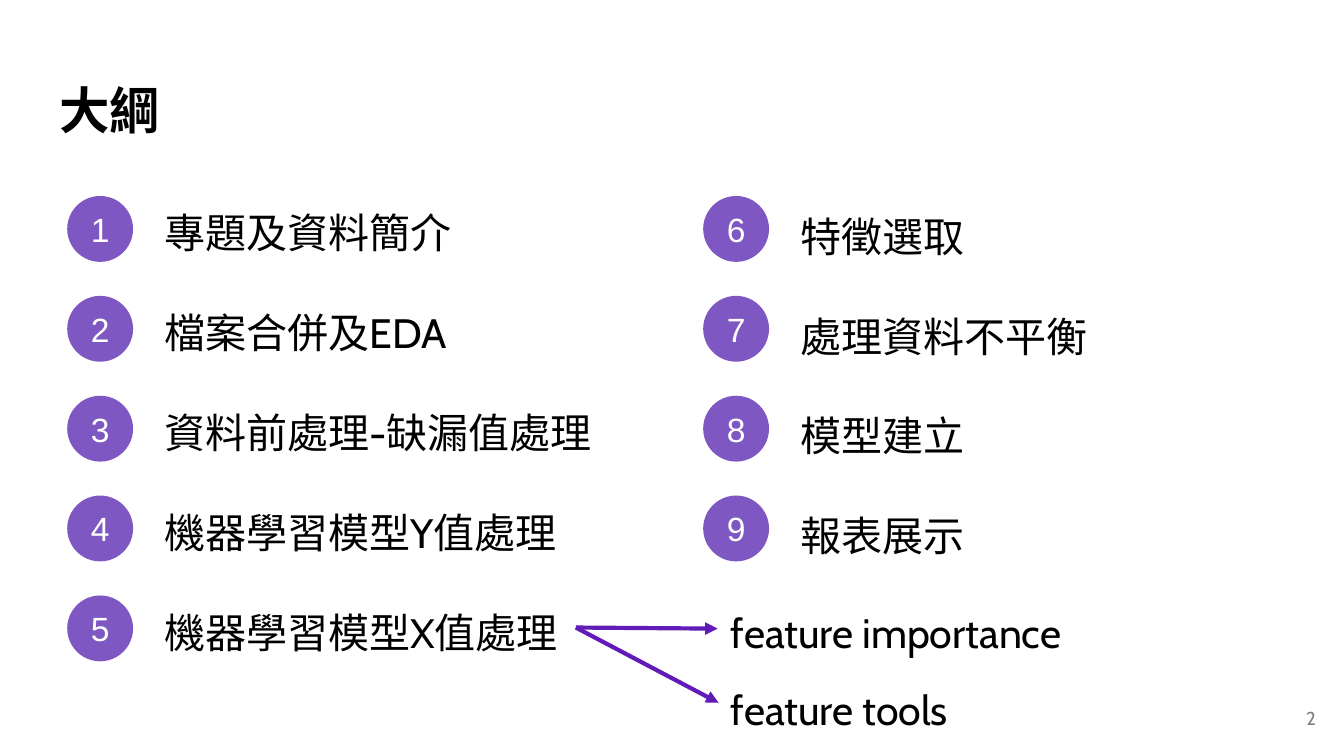
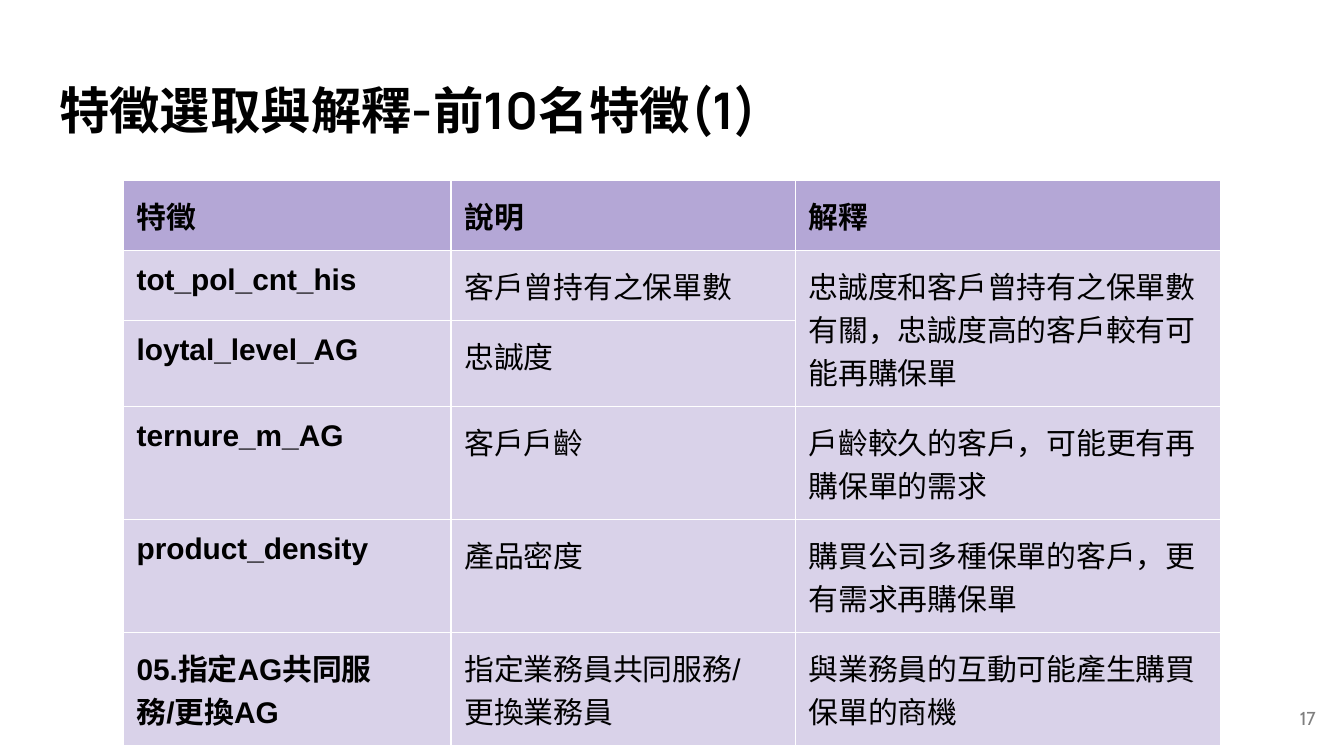
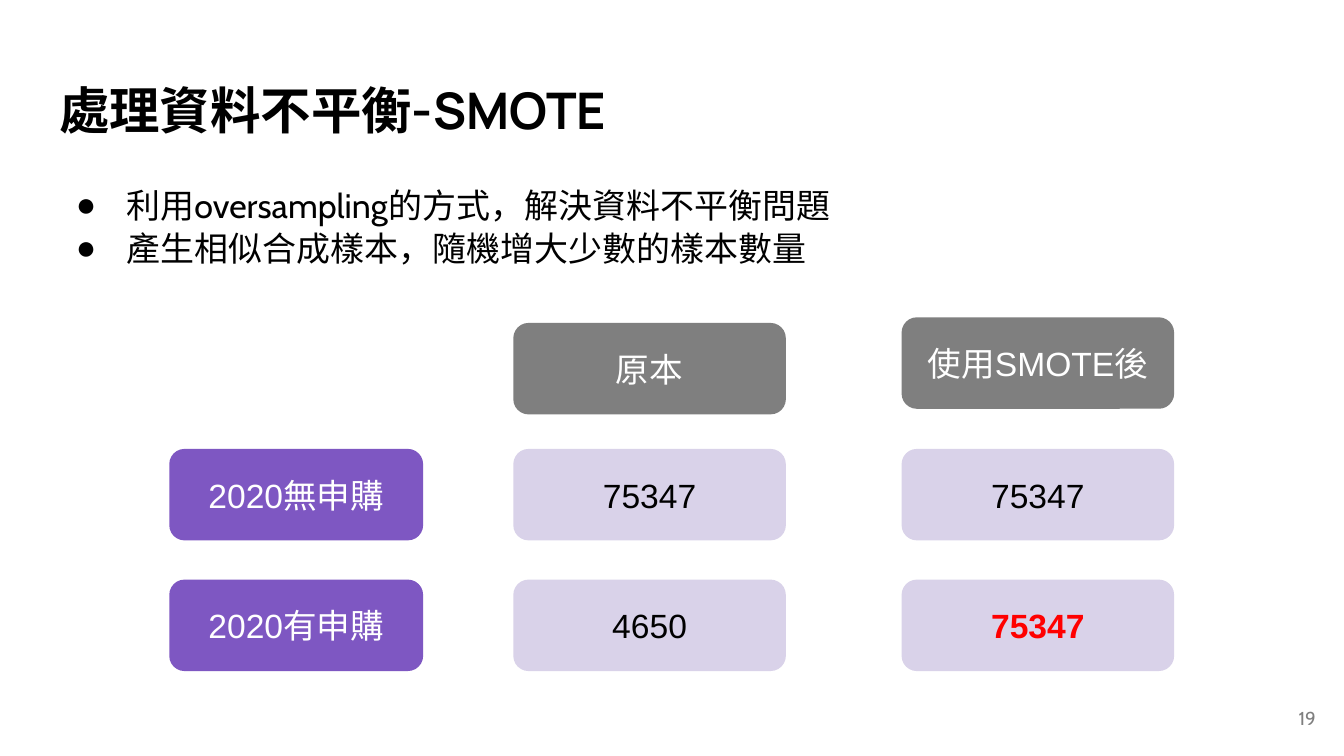
from lxml import etree
from pptx import Presentation
from pptx.dml.color import RGBColor
from pptx.enum.shapes import MSO_CONNECTOR, MSO_SHAPE
from pptx.enum.text import MSO_ANCHOR, MSO_AUTO_SIZE, PP_ALIGN
from pptx.oxml.ns import qn
from pptx.util import Pt

BLACK = RGBColor(0x00, 0x00, 0x00)
WHITE = RGBColor(0xFF, 0xFF, 0xFF)
RED = RGBColor(0xFF, 0x00, 0x00)
GREY = RGBColor(0x7F, 0x7F, 0x7F)
PURPLE = RGBColor(0x7E, 0x57, 0xC2)
DEEP_PURPLE = RGBColor(0x61, 0x1B, 0xB8)
LAVENDER = RGBColor(0xB4, 0xA7, 0xD6)
PALE_LAVENDER = RGBColor(0xD9, 0xD2, 0xE9)

LEFT, CENTER, RIGHT = PP_ALIGN.LEFT, PP_ALIGN.CENTER, PP_ALIGN.RIGHT
TOP, MIDDLE = MSO_ANCHOR.TOP, MSO_ANCHOR.MIDDLE
FIXED = MSO_AUTO_SIZE.NONE
OVAL = MSO_SHAPE.OVAL
ROUNDED = MSO_SHAPE.ROUNDED_RECTANGLE
PROCESS = MSO_SHAPE.FLOWCHART_ALTERNATE_PROCESS
STRAIGHT = MSO_CONNECTOR.STRAIGHT

TITLE_AND_BODY, TITLE_ONLY = 1, 5
INSET = Pt(7.2)
MARGINS = {f"margin_{side}": INSET for side in ("left", "right", "top", "bottom")}
TITLE_FONT = {"name": "Manrope", "size": Pt(27), "bold": True}
LABEL_FONT = {"name": "Cabin", "size": Pt(22)}
LIST_FONT = {"name": "Cabin", "size": Pt(18.2)}
NUMBER_FONT = {"name": "Cabin", "size": Pt(10)}
SHAPE_FONT = {"name": "Arial", "size": Pt(18)}
CELL_FONT = {"size": Pt(16)}
LABEL_SPACING = {"line_spacing": 1.15, "space_after": Pt(12)}
LIST_SPACING = {"alignment": LEFT, "line_spacing": 1.05, "space_before": Pt(0)}

OUTLINE_LEFT = ["專題及資料簡介", "檔案合併及EDA", "資料前處理-缺漏值處理",
                "機器學習模型Y值處理", "機器學習模型X值處理"]
OUTLINE_RIGHT = ["特徵選取", "處理資料不平衡", "模型建立", "報表展示"]
FIRST_ROW, ROW_STEP = 105, 53.5

FEATURE_ROWS = [
    ("特徵", "說明", "解釋"),
    ("tot_pol_cnt_his", "客戶曾持有之保單數",
     "忠誠度和客戶曾持有之保單數有關，忠誠度高的客戶較有可能再購保單"),
    ("loytal_level_AG", "忠誠度", ""),
    ("ternure_m_AG", "客戶戶齡", "戶齡較久的客戶，可能更有再購保單的需求"),
    ("product_density", "產品密度", "購買公司多種保單的客戶，更有需求再購保單"),
    ("05.指定AG共同服務/更換AG", "指定業務員共同服務/\n更換業務員",
     "與業務員的互動可能產生購買保單的商機"),
]
CABIN_CELLS = {(1, 1), (2, 1), (3, 1), (4, 1), (1, 2)}
COLUMN_WIDTHS = [175.6, 184.4, 228.2]
ROW_HEIGHTS = [33.8] * 5 + [52.6]


def assign(target, values):
    for name, value in values.items():
        setattr(target, name, value)


def place(item, left, top, width, height):
    assign(item, {"left": Pt(left), "top": Pt(top), "width": Pt(width), "height": Pt(height)})


def write(frame, text, font, color=BLACK, anchor=TOP, spacing=None):
    assign(frame, {**MARGINS, "word_wrap": True, "auto_size": FIXED, "vertical_anchor": anchor})
    frame.text = text
    for para in frame.paragraphs:
        assign(para, spacing or {})
        for span in para.runs:
            assign(span.font, font)
            span.font.color.rgb = color


def add_page(deck, layout, title, number):
    page = deck.slides.add_slide(deck.slide_layouts[layout])
    place(page.shapes.title, 24.5, 35.3, 671, 49)
    write(page.shapes.title.text_frame, title, TITLE_FONT, spacing={"alignment": LEFT})
    add_label(page, number, 669, 369.4, 43, 31, NUMBER_FONT, GREY, {"alignment": RIGHT})
    return page


def add_label(page, text, left, top, width=296, height=41, font=LABEL_FONT,
              color=BLACK, spacing=LABEL_SPACING, anchor=MIDDLE):
    box = page.shapes.add_textbox(Pt(left), Pt(top), Pt(width), Pt(height))
    write(box.text_frame, text, font, color, anchor, spacing)


def add_block(page, kind, text, left, top, width, height, fill, color=WHITE, bold=False):
    block = page.shapes.add_shape(kind, Pt(left), Pt(top), Pt(width), Pt(height))
    block.shadow.inherit = False
    block.fill.solid()
    block.fill.fore_color.rgb = fill
    block.line.fill.background()
    write(block.text_frame, text, {**SHAPE_FONT, "bold": bold}, color, MIDDLE,
          {"alignment": CENTER})


def add_arrow(page, start, end):
    arrow = page.shapes.add_connector(STRAIGHT, *map(Pt, start + end))
    arrow.line.width = Pt(2.25)
    arrow.line.color.rgb = DEEP_PURPLE
    etree.SubElement(arrow.line._get_or_add_ln(), qn("a:tailEnd"), type="triangle")
    etree.SubElement(arrow._element.spPr, qn("a:effectLst"))


def add_outline_column(page, items, first_number, left, anchor):
    for index, text in enumerate(items):
        top = FIRST_ROW + index * ROW_STEP
        add_block(page, OVAL, str(first_number + index), left, top, 35.3, 35.3, PURPLE)
        add_label(page, text, left + 45, top - 3, anchor=anchor)


def add_bullet(para):
    properties = para._p.get_or_add_pPr()
    properties.set("marL", str(Pt(36)))
    properties.set("indent", str(Pt(-27)))
    color = etree.SubElement(properties, qn("a:buClr"))
    etree.SubElement(color, qn("a:srgbClr"), val=str(BLACK))
    etree.SubElement(properties, qn("a:buChar"), char="●")


def add_borders(cell):
    properties = cell._tc.get_or_add_tcPr()
    for index, side in enumerate(("lnL", "lnR", "lnT", "lnB")):
        border = etree.Element(qn(f"a:{side}"), w=str(Pt(0.75)))
        fill = etree.SubElement(border, qn("a:solidFill"))
        etree.SubElement(fill, qn("a:srgbClr"), val=str(WHITE))
        properties.insert(index, border)


def add_feature_table(page):
    frame = page.shapes.add_table(len(ROW_HEIGHTS), len(COLUMN_WIDTHS), Pt(66), Pt(96.8),
                                  Pt(sum(COLUMN_WIDTHS)), Pt(sum(ROW_HEIGHTS)))
    table = frame.table
    assign(table, {"first_row": False, "horz_banding": False})
    for column, width in zip(table.columns, COLUMN_WIDTHS):
        column.width = Pt(width)
    for row, height in zip(table.rows, ROW_HEIGHTS):
        row.height = Pt(height)
    for r, texts in enumerate(FEATURE_ROWS):
        for c, text in enumerate(texts):
            cell = table.cell(r, c)
            font = {**CELL_FONT, "name": "Cabin" if (r, c) in CABIN_CELLS else "Arial",
                    "bold": r == 0 or c == 0}
            write(cell.text_frame, text, font)
            assign(cell, {**MARGINS, "vertical_anchor": TOP})
            cell.fill.solid()
            cell.fill.fore_color.rgb = PALE_LAVENDER if r else LAVENDER
            add_borders(cell)
    table.cell(1, 2).merge(table.cell(2, 2))


def build_outline(deck):
    page = add_page(deck, TITLE_ONLY, "大綱", "2")
    add_outline_column(page, OUTLINE_LEFT, 1, 36, MIDDLE)
    add_outline_column(page, OUTLINE_RIGHT, 6, 376.7, TOP)
    add_label(page, "feature importance", 384.5, 316)
    add_label(page, "feature tools", 384.5, 357.2)
    add_arrow(page, (308.5, 336.2), (384.5, 336.8))
    add_arrow(page, (308.5, 336.2), (385, 376.5))


def build_features(deck):
    page = add_page(deck, TITLE_ONLY, "特徵選取與解釋-前10名特徵(1)", "17")
    add_feature_table(page)


def build_smote(deck):
    page = add_page(deck, TITLE_AND_BODY, "處理資料不平衡-SMOTE", "19")
    body = page.placeholders[1]
    place(body, 24.5, 90.7, 671, 269)
    write(body.text_frame,
          "利用oversampling的方式，解決資料不平衡問題\n產生相似合成樣本，隨機增大少數的樣本數量",
          LIST_FONT, spacing=LIST_SPACING)
    for para in body.text_frame.paragraphs:
        add_bullet(para)
    for text, top in (("2020無申購", 240.5), ("2020有申購", 310.5)):
        add_block(page, PROCESS, text, 90.7, top, 136, 49, PURPLE)
    columns = [(275, 173, "原本", "75347", "4650"),
               (483, 170, "使用SMOTE後", "75347", "75347")]
    for left, header_top, header, without, with_purchase in columns:
        balanced = without == with_purchase
        add_block(page, ROUNDED, header, left, header_top, 146, 49, GREY)
        add_block(page, ROUNDED, without, left, 240.5, 146, 49, PALE_LAVENDER, BLACK)
        add_block(page, ROUNDED, with_purchase, left, 310.5, 146, 49, PALE_LAVENDER,
                  RED if balanced else BLACK, balanced)


def main():
    deck = Presentation()
    assign(deck, {"slide_width": Pt(720), "slide_height": Pt(405)})
    build_outline(deck)
    build_features(deck)
    build_smote(deck)
    deck.save("out.pptx")


if __name__ == "__main__":
    main()
